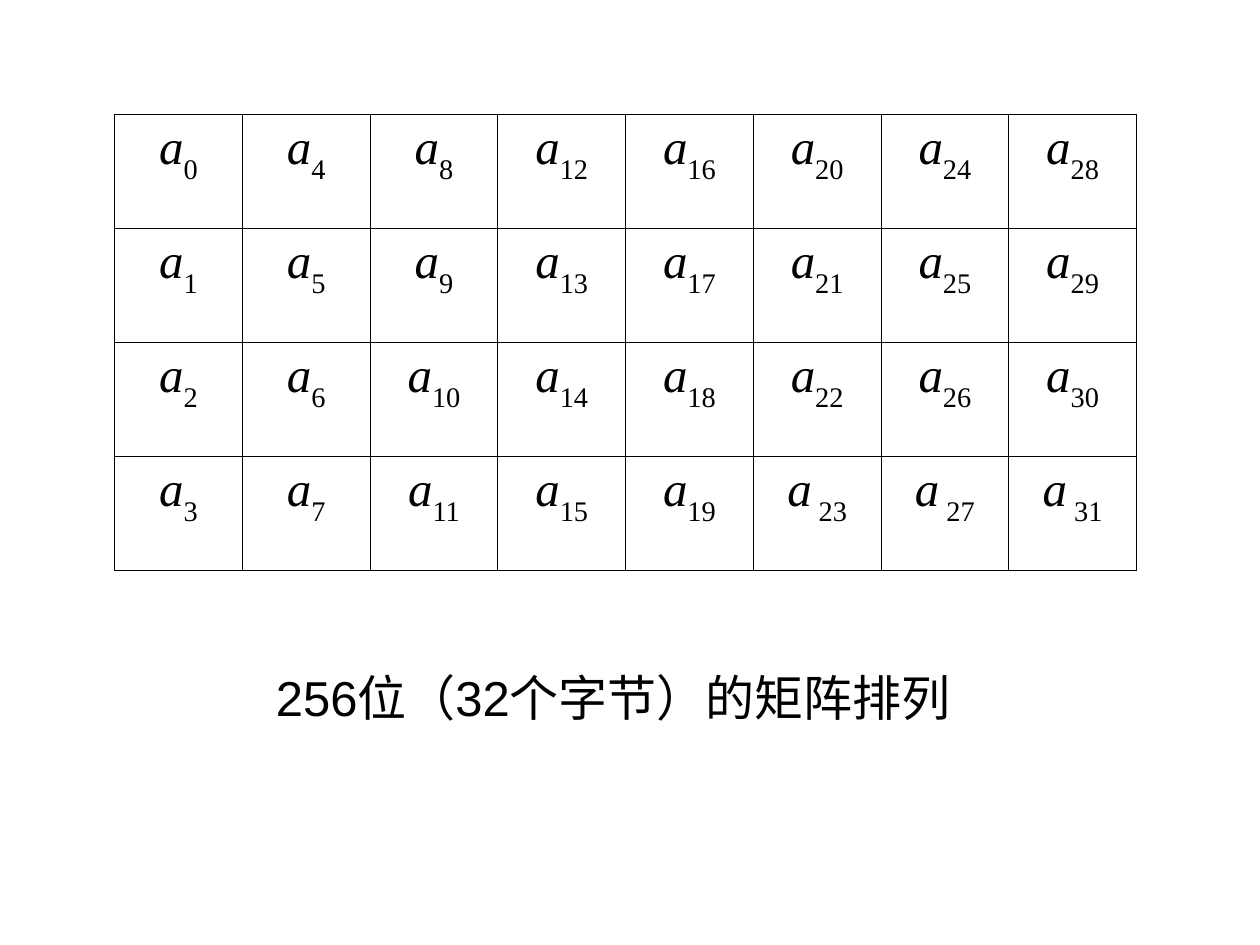
from lxml.etree import SubElement
from pptx import Presentation
from pptx.dml.color import RGBColor
from pptx.enum.text import PP_ALIGN
from pptx.oxml import parse_xml
from pptx.oxml.ns import nsdecls
from pptx.util import Inches, Pt

BLACK = RGBColor(0, 0, 0)
ROWS, COLUMNS = 4, 8
COLUMN_WIDTH, ROW_HEIGHT = Inches(1.014), Inches(0.905)


def add_borders(cell):
    properties = cell._tc.get_or_add_tcPr()
    for index, side in enumerate(("lnL", "lnR", "lnT", "lnB")):
        properties.insert(index, parse_xml(
            f'<a:{side} {nsdecls("a")} w="{Pt(0.45)}"><a:solidFill>'
            f'<a:srgbClr val="{BLACK}"/></a:solidFill></a:{side}>'))


presentation = Presentation()
presentation.slide_width, presentation.slide_height = Inches(10), Inches(7.5)
slide = presentation.slides.add_slide(presentation.slide_layouts[6])

# Byte matrix, numbered down each column
table = slide.shapes.add_table(
    ROWS, COLUMNS, Inches(0.91), Inches(0.91),
    COLUMN_WIDTH * COLUMNS, ROW_HEIGHT * ROWS).table
table.first_row = table.horz_banding = False
for column in range(COLUMNS):
    for row in range(ROWS):
        cell = table.cell(row, column)
        cell.fill.background()
        add_borders(cell)
        paragraph = cell.text_frame.paragraphs[0]
        paragraph.alignment = PP_ALIGN.CENTER
        paragraph.font.name = "Times New Roman"
        paragraph.font.size = Pt(28)
        paragraph.font.color.rgb = BLACK
        letter = paragraph.add_run()
        letter.text = "a"
        letter.font.italic = True
        subscript = paragraph.add_run()
        gap = " " if row == ROWS - 1 and column >= 5 else ""
        subscript.text = f"{gap}{column * ROWS + row}"
        subscript.font._element.set("baseline", "-30000")

# Caption
caption = slide.shapes.add_textbox(
    Inches(1.77), Inches(5.25), Inches(6.78), Inches(0.87))
caption.text_frame.word_wrap = True
caption.text_frame.margin_left = Inches(0.42)
paragraph = caption.text_frame.paragraphs[0]
paragraph.text = "256位（32个字节）的矩阵排列"
paragraph.space_before = Pt(7)
paragraph.font.name = "Arial"
paragraph.font.size = Pt(28)
paragraph.font.color.rgb = BLACK

presentation.save("out.pptx")
